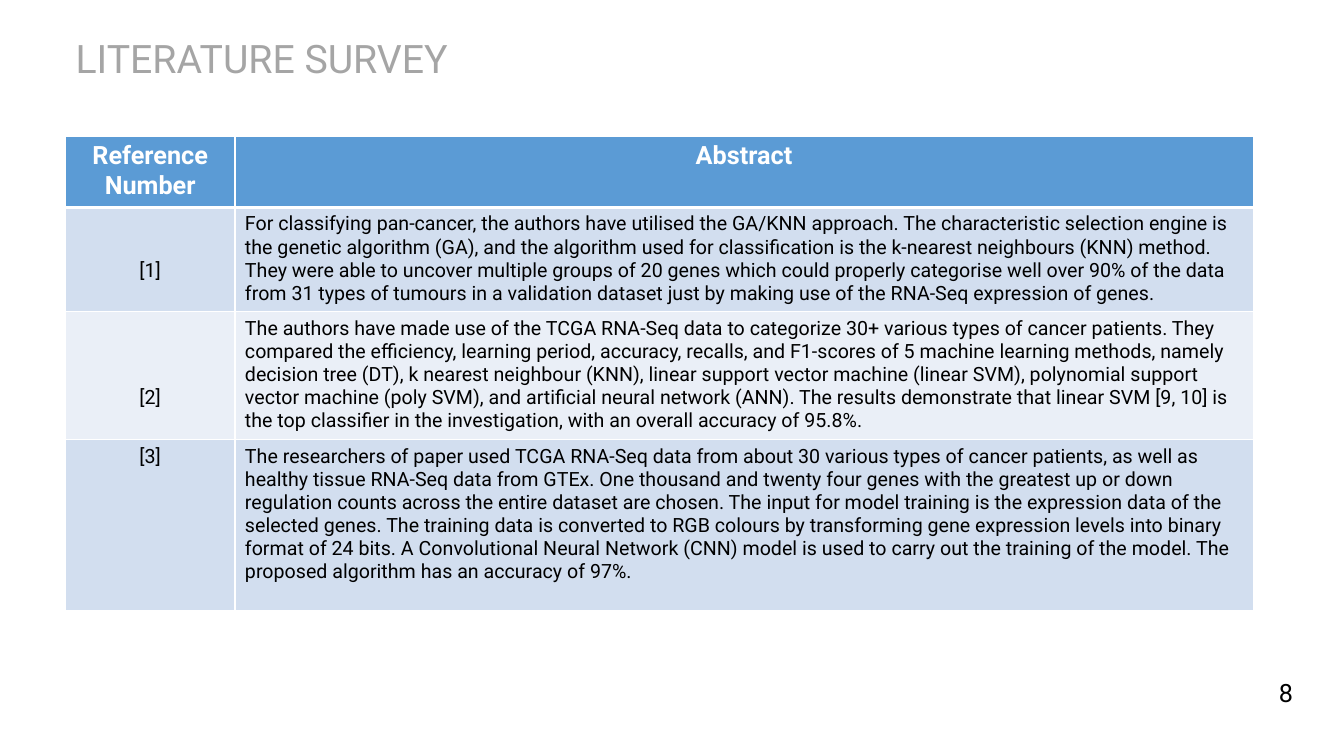
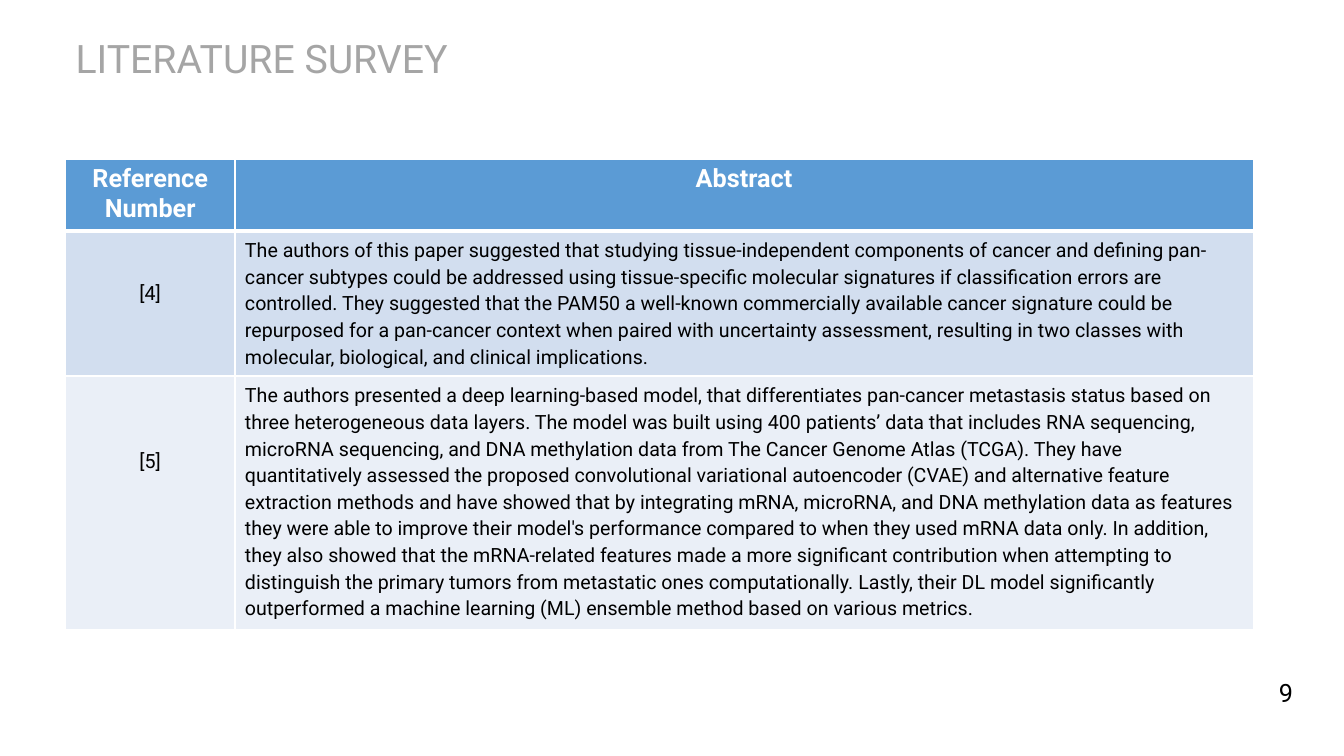
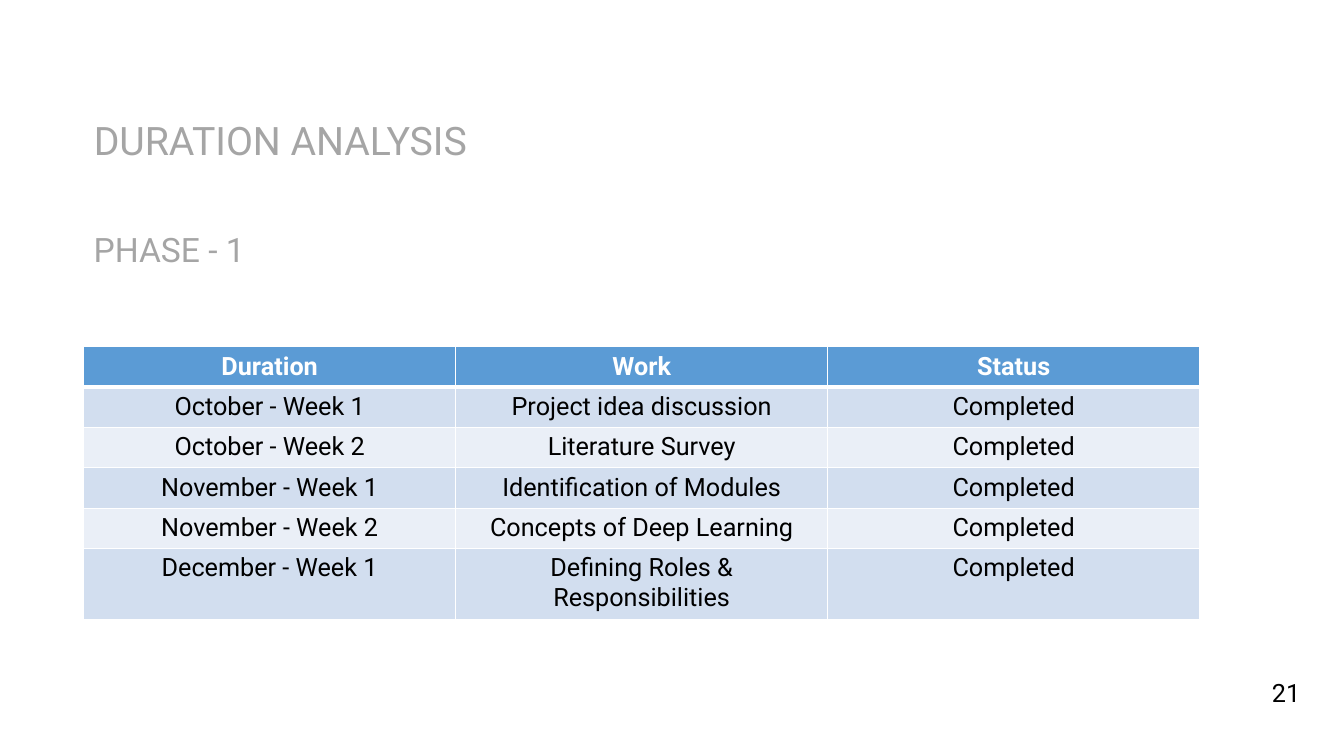
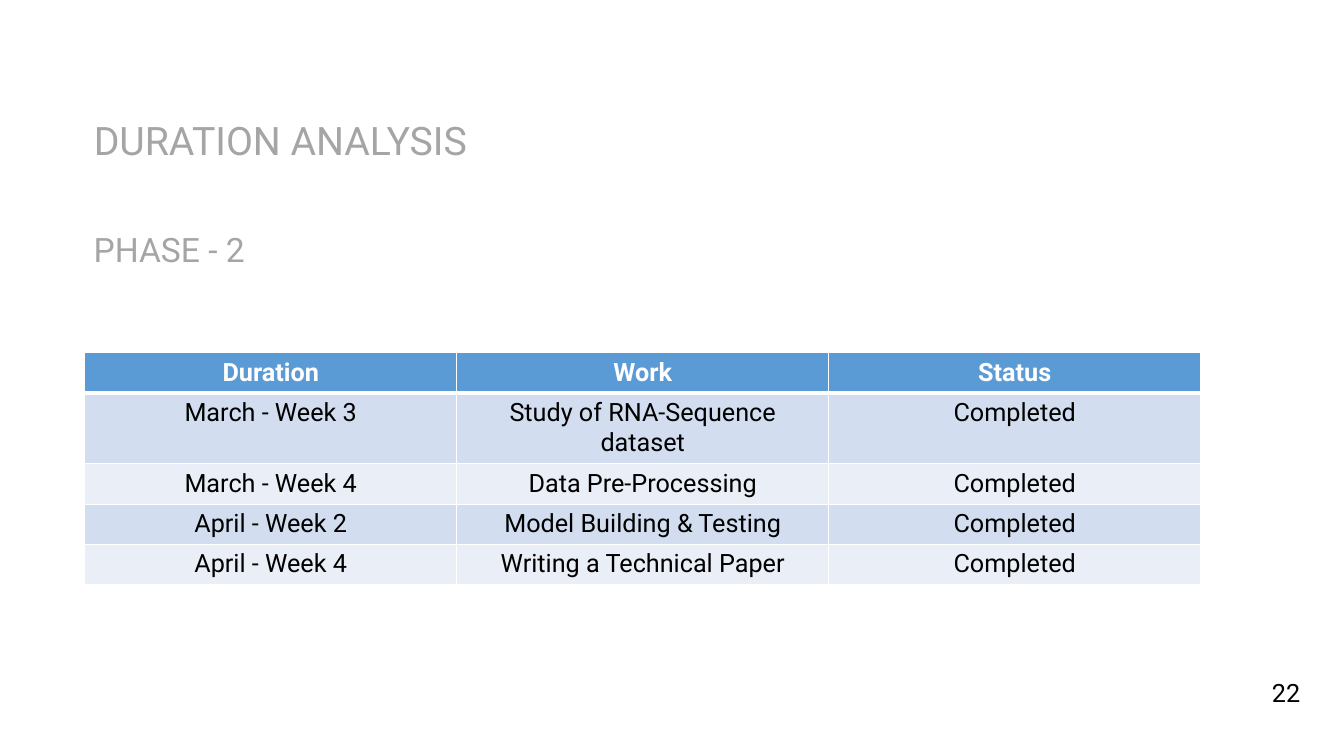
from lxml import etree
from pptx import Presentation
from pptx.dml.color import RGBColor
from pptx.enum.text import MSO_ANCHOR, MSO_AUTO_SIZE, PP_ALIGN
from pptx.oxml.ns import qn
from pptx.util import Inches, Pt

FONT = "Roboto"
GREY = RGBColor(0xA5, 0xA5, 0xA5)
BLACK = RGBColor(0x00, 0x00, 0x00)
WHITE = RGBColor(0xFF, 0xFF, 0xFF)
HEADER_BLUE = RGBColor(0x5B, 0x9B, 0xD5)
BANDS = [RGBColor(0xD2, 0xDE, 0xEF), RGBColor(0xEA, 0xEF, 0xF7)]

CELL_MARGIN = 0.05
ABSTRACT_LINE = 0.23

SURVEY = {
    "title": "LITERATURE SURVEY",
    "title_box": (0.65, 0.34, 6.79, 0.48),
    "columns": [1.68, 10.1],
    "header": ["Reference Number", "Abstract"],
    "body_size": 14,
}
DURATION = {
    "title": "DURATION ANALYSIS",
    "title_box": (0.83, 1.16, 11.76, 0.48),
    "columns": [3.69] * 3,
    "header": ["Duration", "Work", "Status"],
    "body_size": 18,
}

# "drops" holds how many lines each reference number sits below its row's top.
SLIDES = [
    {
        **SURVEY,
        "number": 8,
        "table_at": (0.65, 1.35),
        "heights": [0.71, 1.02, 1.25, 1.7],
        "drops": [2, 3, 0],
        "rows": [
            ["[1]",
             "For classifying pan-cancer, the authors have utilised the GA/KNN approach. "
             "The characteristic selection engine is the genetic algorithm (GA), and the "
             "algorithm used for classification is the k-nearest neighbours (KNN) method. "
             "They were able to uncover multiple groups of 20 genes which could properly "
             "categorise well over 90% of the data from 31 types of tumours in a validation "
             "dataset just by making use of the RNA-Seq expression of genes."],
            ["[2]",
             "The authors have made use of the TCGA RNA-Seq data to categorize 30+ various "
             "types of cancer patients. They compared the efficiency, learning period, "
             "accuracy, recalls, and F1-scores of 5 machine learning methods, "
             "namely decision tree (DT), k nearest neighbour (KNN), linear support vector "
             "machine (linear SVM), polynomial support vector machine (poly SVM), and "
             "artificial neural network (ANN). The results demonstrate that linear SVM "
             "[9, 10] is the top classifier in the investigation, with an overall accuracy "
             "of 95.8%."],
            ["[3]",
             "The researchers of paper used TCGA RNA-Seq data from about 30 various types of "
             "cancer patients, as well as healthy tissue RNA-Seq data from GTEx. One thousand "
             "and twenty four genes with the greatest up or down regulation counts across the "
             "entire dataset are chosen. The input for model training is the expression data "
             "of the selected genes. The training data is converted to RGB colours by "
             "transforming gene expression levels into binary format of 24 bits. A "
             "Convolutional Neural Network (CNN) model is used to carry out the training of "
             "the model. The proposed algorithm has an accuracy of 97%."],
        ],
    },
    {
        **SURVEY,
        "number": 9,
        "table_at": (0.65, 1.58),
        "heights": [0.71, 1.42, 2.47],
        "drops": [2, 3],
        "line_spacing": 1.15,
        "rows": [
            ["[4]",
             "The authors of this paper suggested that studying tissue-independent components "
             "of cancer and defining pan-cancer subtypes could be addressed using "
             "tissue-specific molecular signatures if classification errors are controlled. "
             "They suggested that the PAM50 a well-known commercially available cancer "
             "signature could be repurposed for a pan-cancer context when paired with "
             "uncertainty assessment, resulting in two classes with molecular, biological, "
             "and clinical implications."],
            ["[5]", " ".join([
                "The authors presented a deep learning-based model, that differentiates "
                "pan-cancer metastasis status based on three heterogeneous data layers.",
                "The model was built using 400 patients’ data that includes RNA sequencing, "
                "microRNA sequencing, and DNA methylation data from The Cancer Genome Atlas "
                "(TCGA).",
                "They have quantitatively assessed the proposed convolutional variational "
                "autoencoder (CVAE) and alternative feature extraction methods and have "
                "showed that by integrating mRNA, microRNA, and DNA methylation data as "
                "features they were able to improve their model's performance compared to "
                "when they used mRNA data only.",
                "In addition, they also showed that the mRNA-related features made a more "
                "significant contribution when attempting to distinguish the primary tumors "
                "from metastatic ones computationally.",
                "Lastly, their DL model significantly outperformed a machine learning (ML) "
                "ensemble method based on various metrics.",
            ])],
        ],
    },
    {
        **DURATION,
        "number": 21,
        "phase": "PHASE - 1",
        "table_at": (0.83, 3.44),
        "heights": [0.39] * 5 + [0.69],
        "rows": [
            ["October - Week 1", "Project idea discussion", "Completed"],
            ["October - Week 2", "Literature Survey", "Completed"],
            ["November - Week 1", "Identification of Modules", "Completed"],
            ["November - Week 2", "Concepts of Deep Learning", "Completed"],
            ["December - Week 1", "Defining Roles & Responsibilities", "Completed"],
        ],
    },
    {
        **DURATION,
        "number": 22,
        "phase": "PHASE - 2",
        "table_at": (0.84, 3.5),
        "heights": [0.39, 0.69] + [0.39] * 3,
        "rows": [
            ["March - Week 3", "Study of RNA-Sequence dataset", "Completed"],
            ["March - Week 4", "Data Pre-Processing", "Completed"],
            ["April - Week 2", "Model Building & Testing", "Completed"],
            ["April - Week 4", "Writing a Technical Paper", "Completed"],
        ],
    },
]


def write(frame, text, size, color, align=PP_ALIGN.LEFT, spacing=1.0, bold=False):
    """Fill a text frame with one formatted paragraph and return the frame."""
    frame.text = text
    frame.word_wrap = True
    paragraph = frame.paragraphs[0]
    paragraph.alignment = align
    paragraph.line_spacing = spacing
    paragraph.font.name = FONT
    paragraph.font.size = Pt(size)
    paragraph.font.bold = bold
    paragraph.font.color.rgb = color
    return frame


def set_borders(cell, top, bottom):
    """Draw white cell borders; top and bottom are widths in points."""
    properties = cell._tc.get_or_add_tcPr()
    for side, width in (("L", 1), ("R", 1), ("T", top), ("B", bottom)):
        line = etree.SubElement(properties, qn(f"a:ln{side}"), w=str(Pt(width)))
        fill = etree.SubElement(line, qn("a:solidFill"))
        etree.SubElement(fill, qn("a:srgbClr"), val=str(WHITE))


prs = Presentation()
prs.slide_width = Inches(13.33)
prs.slide_height = Inches(7.5)
title_only = prs.slide_layouts[5]

for content in SLIDES:
    slide = prs.slides.add_slide(title_only)

    title = slide.shapes.title
    title.left, title.top, title.width, title.height = map(Inches, content["title_box"])
    heading = write(title.text_frame, content["title"], 28, GREY, spacing=0.9)
    heading.vertical_anchor = MSO_ANCHOR.TOP
    heading.auto_size = MSO_AUTO_SIZE.NONE

    page = slide.shapes.add_textbox(Inches(12.43), Inches(6.67), Inches(0.65), Inches(0.4))
    number = write(page.text_frame, str(content["number"]), 18, BLACK, PP_ALIGN.CENTER)
    number.vertical_anchor = MSO_ANCHOR.MIDDLE

    if "phase" in content:
        phase = slide.shapes.add_textbox(Inches(0.83), Inches(2.27), Inches(2.58), Inches(0.25))
        write(phase.text_frame, content["phase"], 24, GREY, spacing=0.9)

    rows = [content["header"]] + content["rows"]
    columns, heights = content["columns"], content["heights"]
    left, top = content["table_at"]
    table = slide.shapes.add_table(
        len(rows), len(columns), Inches(left), Inches(top),
        Inches(sum(columns)), Inches(sum(heights))).table
    for column, width in zip(table.columns, columns):
        column.width = Inches(width)
    for row, height in zip(table.rows, heights):
        row.height = Inches(height)

    for r, texts in enumerate(rows):
        for c, text in enumerate(texts):
            cell = table.cell(r, c)
            set_borders(cell, top=3 if r == 1 else 1, bottom=3 if r == 0 else 1)
            cell.fill.solid()
            if r == 0:
                cell.fill.fore_color.rgb = HEADER_BLUE
                write(cell.text_frame, text, 18, WHITE, PP_ALIGN.CENTER, bold=True)
                continue
            cell.fill.fore_color.rgb = BANDS[(r - 1) % 2]
            is_abstract = "drops" in content and c == 1
            write(cell.text_frame, text, content["body_size"], BLACK,
                  PP_ALIGN.LEFT if is_abstract else PP_ALIGN.CENTER,
                  content.get("line_spacing", 1.0) if is_abstract else 1.0)
            if "drops" in content and c == 0:
                drop = content["drops"][r - 1] * ABSTRACT_LINE
                cell.margin_top = Inches(CELL_MARGIN + drop)

prs.save("out.pptx")
